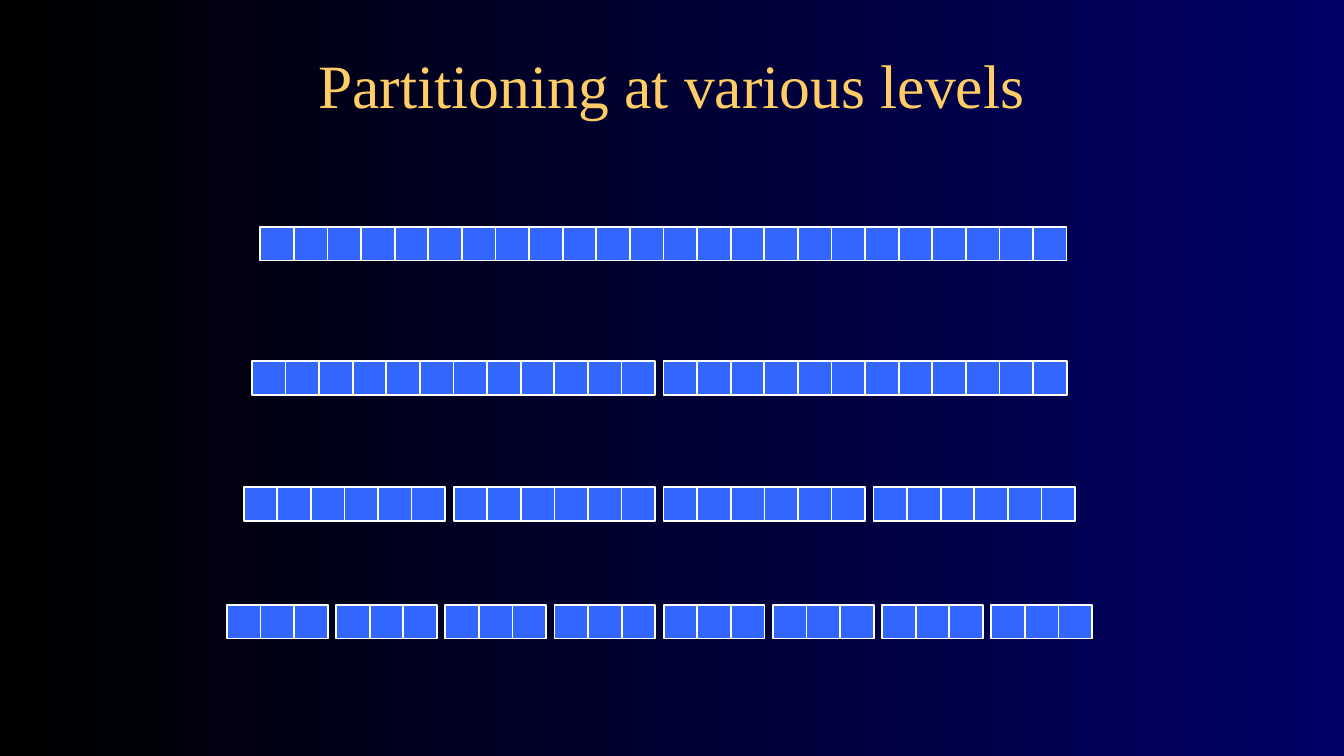
"""Build a slide showing one row of cells partitioned at four levels."""
from dataclasses import dataclass

from pptx import Presentation
from pptx.dml.color import RGBColor
from pptx.enum.shapes import MSO_SHAPE as Shape
from pptx.enum.text import MSO_ANCHOR as Anchor, PP_ALIGN as Align
from pptx.slide import Slide
from pptx.util import Cm, Pt

CELLS = 24
SIDE = 2.54 / 3
GAP = SIDE / 4


@dataclass(frozen=True)
class Level:
    left: float
    top: float
    blocks: int


LEVELS = (
    Level(6.56, 5.72, 1),
    Level(6.35, 9.1, 2),
    Level(6.14, 12.28, 4),
    Level(5.72, 15.24, 8),
)


def color(code: str) -> RGBColor:
    return RGBColor.from_string(code)


def paint(slide: Slide, *codes: str) -> None:
    fill = slide.background.fill
    fill.gradient()
    fill.gradient_angle = 0
    for place, (stop, code) in enumerate(zip(fill.gradient_stops, codes)):
        stop.position = place
        stop.color.rgb = color(code)


def write(slide: Slide, text: str, *, left: float, top: float, width: float,
          height: float, size: float, ink: str, face: str) -> None:
    box = slide.shapes.add_textbox(Cm(left), Cm(top), Cm(width), Cm(height))
    frame = box.text_frame
    frame.word_wrap = True
    frame.vertical_anchor = Anchor.MIDDLE
    line = frame.paragraphs[0]
    line.alignment = Align.CENTER
    run = line.add_run()
    run.text = text
    run.font.size = Pt(size)
    run.font.name = face
    run.font.color.rgb = color(ink)


def draw(slide: Slide, level: Level) -> None:
    group = slide.shapes.add_group_shape()
    count = CELLS // level.blocks
    for index in range(CELLS):
        left = level.left + index * SIDE + index // count * GAP
        cell = group.shapes.add_shape(
            Shape.RECTANGLE, Cm(left), Cm(level.top), Cm(SIDE), Cm(SIDE))
        cell.shadow.inherit = False
        cell.fill.solid()
        cell.fill.fore_color.rgb = color("3366FF")
        cell.line.color.rgb = color("FFFFFF")
        cell.line.width = Pt(1.25)


def main() -> None:
    deck = Presentation()
    deck.slide_width, deck.slide_height = Cm(33.87), Cm(19.05)
    slide = deck.slides.add_slide(deck.slide_layouts[6])
    paint(slide, "000000", "000066")
    write(slide, "Partitioning at various levels", left=2.54, top=1.06,
          width=28.79, height=2.12, size=44, ink="FFCC66",
          face="Times New Roman")
    for level in LEVELS:
        draw(slide, level)
    deck.save("out.pptx")


if __name__ == "__main__":
    main()
